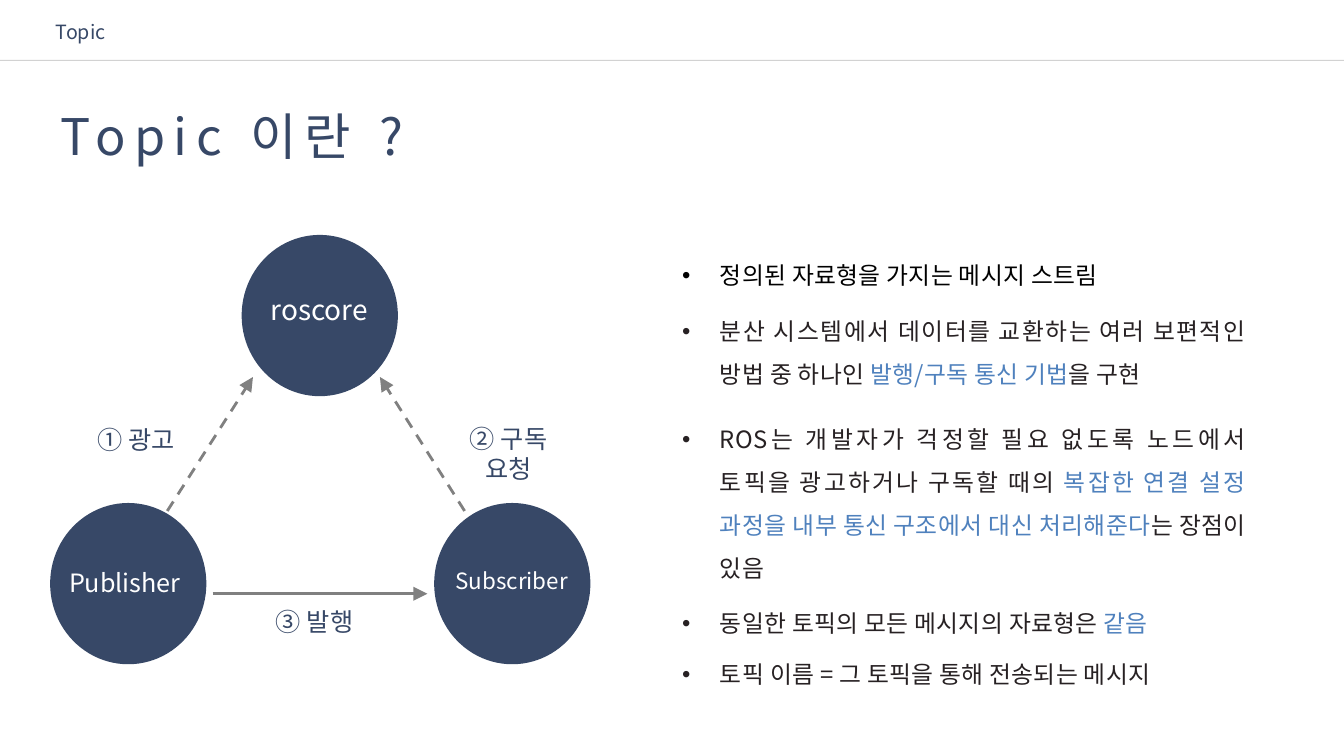
from lxml import etree
from pptx import Presentation
from pptx.dml.color import RGBColor
from pptx.enum.dml import MSO_LINE
from pptx.enum.shapes import MSO_CONNECTOR, MSO_SHAPE
from pptx.enum.text import MSO_ANCHOR, PP_ALIGN
from pptx.oxml.ns import qn
from pptx.util import Pt

FONT = "Noto Sans CJK KR"
NAVY, BLUE, INK = "374867", "4F81BD", "272123"
BLACK, WHITE, GRAY, RULE = "000000", "FFFFFF", "808080", "A6A6A6"
CENTER, JUSTIFY = PP_ALIGN.CENTER, PP_ALIGN.JUSTIFY
TOP, DASH = MSO_ANCHOR.TOP, MSO_LINE.DASH
OVAL, STRAIGHT = MSO_SHAPE.OVAL, MSO_CONNECTOR.STRAIGHT
LOOSE = 0.2

NODES = [
    ("roscore", 172.6, 167.8, 37.4, 20),
    ("Subscriber", 310.1, 359.3, 42.5, 16),
    ("Publisher ", 35.8, 359.3, 42.5, 18),
]
ARROWS = [
    (331.9, 365, 271.4, 269.3, DASH),
    (119.5, 365, 180.7, 269.3, DASH),
    (151.9, 424.1, 305.3, 424.1, None),
]
STEPS = [
    ("① 광고", 46.1, 299.5, 102.2),
    ("② 구독 요청", 310.6, 298.8, 105.2),
    ("③ 발행", 173.5, 429.8, 102.2),
]
POINTS = [
    (0, 2.5, [("정의된 자료형을 가지는 메시지 스트림", BLACK)]),
    (9.6, 1.5, [("분산 시스템에서 데이터를 교환하는 여러 보편적인 방법 중 하나인 ", INK),
                ("발행/구독 통신 기법", BLUE), ("을 구현 ", INK)]),
    (16, 1.5, [("ROS는 개발자가 걱정할 필요 없도록 노드에서 토픽을 광고하거나 구독할 때의 ", INK),
               ("복잡한 연결 설정 과정을 내부 통신 구조에서 대신 처리해준다", BLUE),
               ("는 장점이 있음 ", INK)]),
    (9, 1.5, [("동일한 토픽의 모든 메시지의 자료형은 ", INK), ("같음 ", BLUE)]),
    (5.5, 1.5, [("토픽 이름 = 그 토픽을 통해 전송되는 메시지", INK)]),
]


def paint(color, code):
    """Set a colour format from a hex string."""
    color.rgb = RGBColor.from_string(code)


def write(para, text, size=18, color=NAVY, align=CENTER, track=0):
    """Add a formatted run to a paragraph."""
    para.alignment = align
    run = para.add_run()
    run.text = text
    run.font.size, run.font.name = Pt(size), FONT
    paint(run.font.color, color)
    props = run.font._element
    etree.SubElement(props, qn("a:ea"), typeface=FONT)
    if track:
        props.set("spc", str(round(track * 100)))


def add_box(slide, left, top, width, height):
    """Add a wrapping text box and return its text frame."""
    frame = slide.shapes.add_textbox(Pt(left), Pt(top), Pt(width), Pt(height)).text_frame
    frame.word_wrap = True
    return frame


def add_label(slide, text, left, top, width, height=28.8, **style):
    """Add a one-paragraph text box."""
    write(add_box(slide, left, top, width, height).paragraphs[0], text, **style)


def add_title(slide, text):
    """Place and fill the title placeholder."""
    title = slide.shapes.title
    title.left, title.top, title.width, title.height = Pt(36), Pt(71.3), Pt(491), Pt(51.1)
    frame = title.text_frame
    frame.vertical_anchor, frame.word_wrap = TOP, True
    write(frame.paragraphs[0], text, size=36, align=JUSTIFY, track=6)


def add_line(slide, x1, y1, x2, y2, color=GRAY, width=2):
    """Add a straight line without a shadow."""
    line = slide.shapes.add_connector(STRAIGHT, Pt(x1), Pt(y1), Pt(x2), Pt(y2))
    paint(line.line.color, color)
    line.line.width = Pt(width)
    etree.SubElement(line._element.spPr, qn("a:effectLst"))
    return line.line


def add_rule(slide):
    """Add the half-transparent rule under the header."""
    line = add_line(slide, 0, 43.2, 960, 43.2, RULE, 0.75)
    tone = line._ln.find(".//" + qn("a:srgbClr"))
    etree.SubElement(tone, qn("a:alpha"), val="50000")


def add_arrow(slide, x1, y1, x2, y2, dash):
    """Add an arrow that points to its second end."""
    line = add_line(slide, x1, y1, x2, y2)
    if dash:
        line.dash_style = dash
    etree.SubElement(line._ln, qn("a:tailEnd"), type="triangle", w="lg", len="lg")


def add_node(slide, name, left, top, drop, size):
    """Add a circle with its name."""
    disc = slide.shapes.add_shape(OVAL, Pt(left), Pt(top), Pt(111.6), Pt(115.2))
    disc.shadow.inherit = False
    disc.fill.solid()
    paint(disc.fill.fore_color, NAVY)
    disc.line.fill.background()
    add_label(slide, name, left + 4.3, top + drop, 102.2, size=size, color=WHITE)


def add_list(slide, points):
    """Add the bulleted list."""
    frame = add_box(slide, 480.2, 152, 416.9, 315.4)
    for i, (gap, pitch, runs) in enumerate(points):
        para = frame.add_paragraph() if i else frame.paragraphs[0]
        para.space_before, para.line_spacing = Pt(gap), pitch
        props = para._p.get_or_add_pPr()
        props.set("marL", str(Pt(27)))
        props.set("indent", str(Pt(-27)))
        etree.SubElement(props, qn("a:buFont"), typeface="Arial")
        etree.SubElement(props, qn("a:buChar"), char="•")
        for text, color in runs:
            write(para, text, size=17, color=color, align=JUSTIFY, track=LOOSE)


def main():
    """Build and save the slide."""
    deck = Presentation()
    deck.slide_width, deck.slide_height = Pt(960), Pt(540)
    slide = deck.slides.add_slide(deck.slide_layouts[5])
    add_rule(slide)
    add_label(slide, "Topic", 15.1, 10.8, 85, 24.5, size=14)
    add_title(slide, "Topic 이란 ? ")
    add_list(slide, POINTS)
    for node in NODES:
        add_node(slide, *node)
    for arrow in ARROWS:
        add_arrow(slide, *arrow)
    for step in STEPS:
        add_label(slide, *step, track=LOOSE)
    deck.save("out.pptx")


if __name__ == "__main__":
    main()
